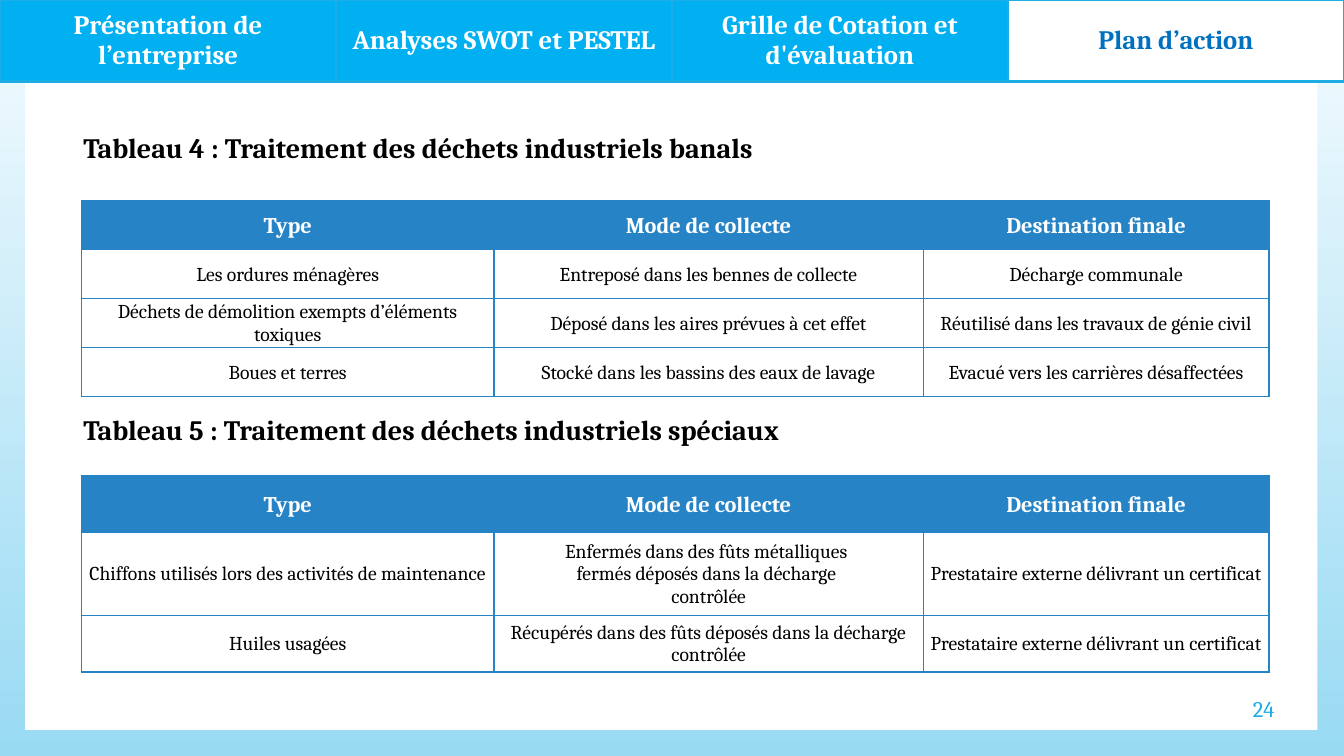
from dataclasses import dataclass

from lxml.etree import SubElement
from pptx import Presentation
from pptx.dml.color import RGBColor
from pptx.enum.shapes import MSO_SHAPE
from pptx.enum.text import MSO_ANCHOR as Anchor, PP_ALIGN as Align
from pptx.oxml.ns import qn
from pptx.slide import Slide
from pptx.table import Table, _Cell as Cell
from pptx.text.text import _Paragraph as Paragraph
from pptx.util import Pt

COLORS = {
    "white": "FFFFFF",
    "black": "000000",
    "header": "2683C6",
    "accent": "1CADE4",
    "tab": "00B0F0",
    "active": "0070C0",
    "sky_top": "F4FBFE",
    "sky_bottom": "99DAF3",
}
FONT = "Cambria"
WIDTH, HEIGHT = 960, 540
COLUMN_WIDTHS = (294.5, 306.7, 247)
HEADERS = ("Type", "Mode de collecte", "Destination finale")
TABS = (
    "Présentation de l’entreprise",
    "Analyses SWOT et PESTEL",
    "Grille de Cotation et d'évaluation",
    "Plan d’action",
)


@dataclass
class TextStyle:
    size: float
    color: str
    bold: bool = False
    align: Align = Align.CENTER


@dataclass
class Label:
    text: str
    left: float
    top: float
    width: float
    height: float
    style: TextStyle
    anchor: Anchor = Anchor.TOP


@dataclass
class WasteTable:
    top: float
    row_heights: tuple[float, ...]
    rows: tuple[tuple[str, str, str], ...]


HEADER_STYLE = TextStyle(16, "white", bold=True)
BODY_STYLE = TextStyle(14, "black")
TITLE_STYLE = TextStyle(20, "black", bold=True, align=Align.LEFT)
NUMBER_STYLE = TextStyle(16, "accent", align=Align.RIGHT)

LABELS = (
    Label("Tableau 4 : Traitement des déchets industriels banals",
          52.4, 90, 777.6, 31.7, TITLE_STYLE),
    Label("Tableau 5 : Traitement des déchets industriels spéciaux",
          52.4, 291, 777.6, 31.7, TITLE_STYLE),
    Label("24", 868.3, 491.8, 49, 28.8, NUMBER_STYLE, Anchor.MIDDLE),
)
WASTE_TABLES = (
    WasteTable(143.5, (35, 35, 35, 35), (
        ("Les ordures ménagères",
         "Entreposé dans les bennes de collecte",
         "Décharge communale"),
        ("Déchets de démolition exempts d’éléments toxiques",
         "Déposé dans les aires prévues à cet effet",
         "Réutilisé dans les travaux de génie civil"),
        ("Boues et terres",
         "Stocké dans les bassins des eaux de lavage",
         "Evacué vers les carrières désaffectées"),
    )),
    WasteTable(340, (40.4, 59.2, 40.4), (
        ("Chiffons utilisés lors des activités de maintenance",
         "Enfermés dans des fûts métalliques \nfermés déposés dans la décharge \ncontrôlée",
         "Prestataire externe délivrant un certificat"),
        ("Huiles usagées",
         "Récupérés dans des fûts déposés dans la décharge contrôlée",
         "Prestataire externe délivrant un certificat"),
    )),
)


def rgb(name: str) -> RGBColor:
    return RGBColor.from_string(COLORS[name])


def write(paragraph: Paragraph, text: str, style: TextStyle) -> None:
    paragraph.text = text
    paragraph.alignment = style.align
    font = paragraph.font
    font.name = FONT
    font.size = Pt(style.size)
    font.bold = style.bold
    font.color.rgb = rgb(style.color)


def set_borders(cell: Cell, color: str, bottom: float = 1) -> None:
    properties = cell._tc.get_or_add_tcPr()
    for side, width in (("L", 1), ("R", 1), ("T", 1), ("B", bottom)):
        line = SubElement(properties, qn(f"a:ln{side}"), w=str(Pt(width)))
        fill = SubElement(line, qn("a:solidFill"))
        SubElement(fill, qn("a:srgbClr"), val=COLORS[color])


def fill_cell(cell: Cell, text: str, style: TextStyle, fill: str | None) -> None:
    cell.vertical_anchor = Anchor.MIDDLE
    write(cell.text_frame.paragraphs[0], text, style)
    if fill:
        cell.fill.solid()
        cell.fill.fore_color.rgb = rgb(fill)
    else:
        cell.fill.background()


def add_grid(slide: Slide, left: float, top: float,
             widths: tuple[float, ...], heights: tuple[float, ...]) -> Table:
    table = slide.shapes.add_table(
        len(heights), len(widths), Pt(left), Pt(top),
        Pt(sum(widths)), Pt(sum(heights))).table
    table.first_row = table.horz_banding = False
    for column, width in zip(table.columns, widths):
        column.width = Pt(width)
    for row, height in zip(table.rows, heights):
        row.height = Pt(height)
    return table


def add_waste_table(slide: Slide, waste: WasteTable) -> None:
    table = add_grid(slide, 58.3, waste.top, COLUMN_WIDTHS, waste.row_heights)
    for row_index, texts in enumerate((HEADERS, *waste.rows)):
        style, fill = (BODY_STYLE, None) if row_index else (HEADER_STYLE, "header")
        for column_index, text in enumerate(texts):
            cell = table.cell(row_index, column_index)
            cell.margin_left = cell.margin_right = cell.margin_top = Pt(0.7)
            cell.margin_bottom = Pt(0)
            set_borders(cell, "header")
            fill_cell(cell, text, style, fill)


def add_tabs(slide: Slide, active: str) -> None:
    table = add_grid(slide, 0, 0, (WIDTH / len(TABS),) * len(TABS), (58.3,))
    for index, text in enumerate(TABS):
        color, fill = ("active", "white") if text == active else ("white", "tab")
        cell = table.cell(0, index)
        set_borders(cell, "accent", bottom=2)
        fill_cell(cell, text, TextStyle(19, color, bold=True), fill)


def add_label(slide: Slide, label: Label) -> None:
    frame = slide.shapes.add_textbox(
        Pt(label.left), Pt(label.top), Pt(label.width), Pt(label.height)).text_frame
    frame.word_wrap = True
    frame.vertical_anchor = label.anchor
    write(frame.paragraphs[0], label.text, label.style)


def add_backdrop(slide: Slide) -> None:
    fill = slide.background.fill
    fill.gradient()
    fill.gradient_angle = 270
    for stop, color in zip(fill.gradient_stops, ("sky_top", "sky_bottom")):
        stop.color.rgb = rgb(color)
    panel = slide.shapes.add_shape(
        MSO_SHAPE.RECTANGLE, Pt(18), Pt(19.4), Pt(923), Pt(502))
    panel.shadow.inherit = False
    panel.fill.solid()
    panel.fill.fore_color.rgb = rgb("white")
    panel.line.fill.background()


def main() -> None:
    presentation = Presentation()
    presentation.slide_width, presentation.slide_height = Pt(WIDTH), Pt(HEIGHT)
    slide = presentation.slides.add_slide(presentation.slide_layouts[6])
    add_backdrop(slide)
    for waste in WASTE_TABLES:
        add_waste_table(slide, waste)
    for label in LABELS:
        add_label(slide, label)
    add_tabs(slide, active="Plan d’action")
    presentation.save("out.pptx")


if __name__ == "__main__":
    main()
